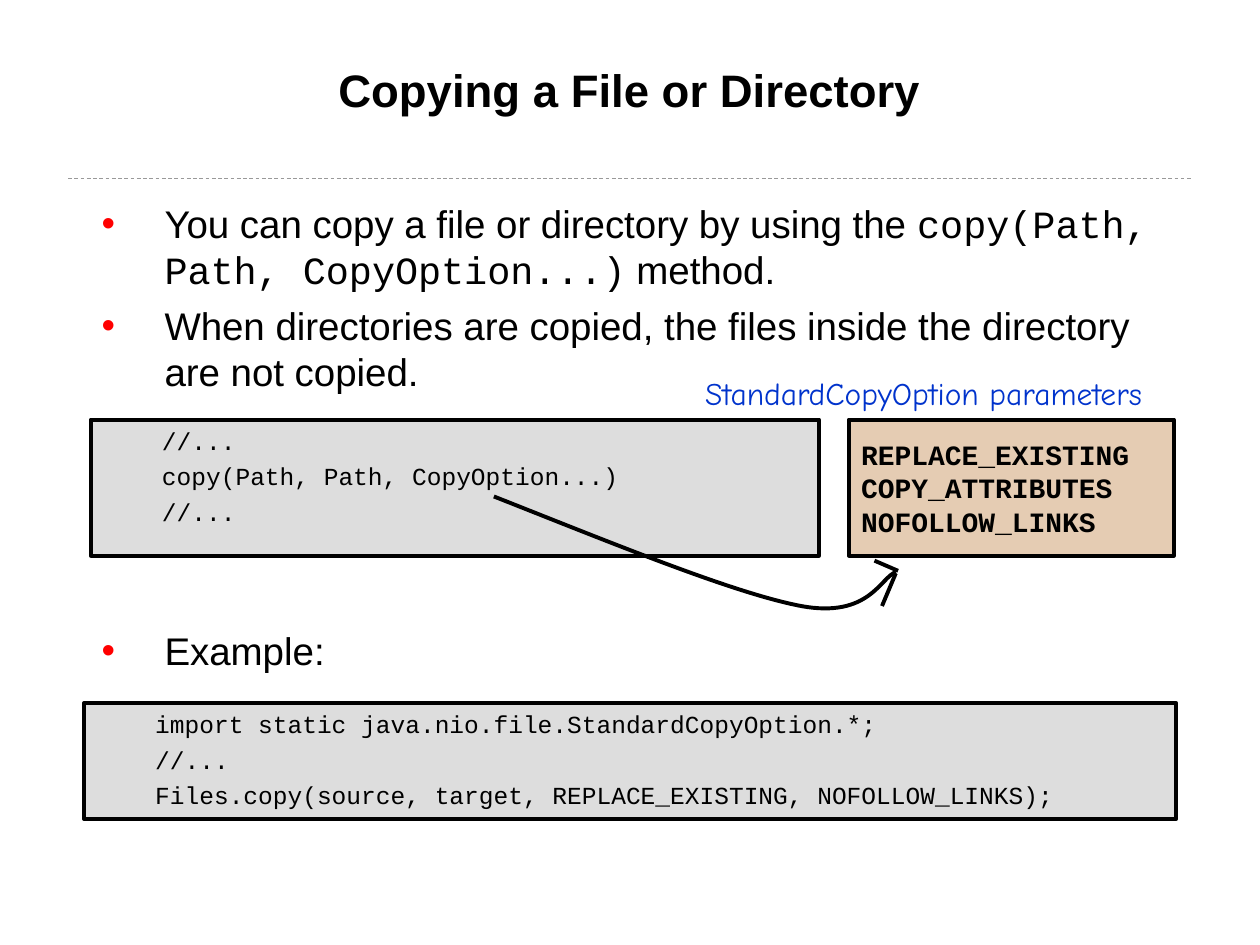
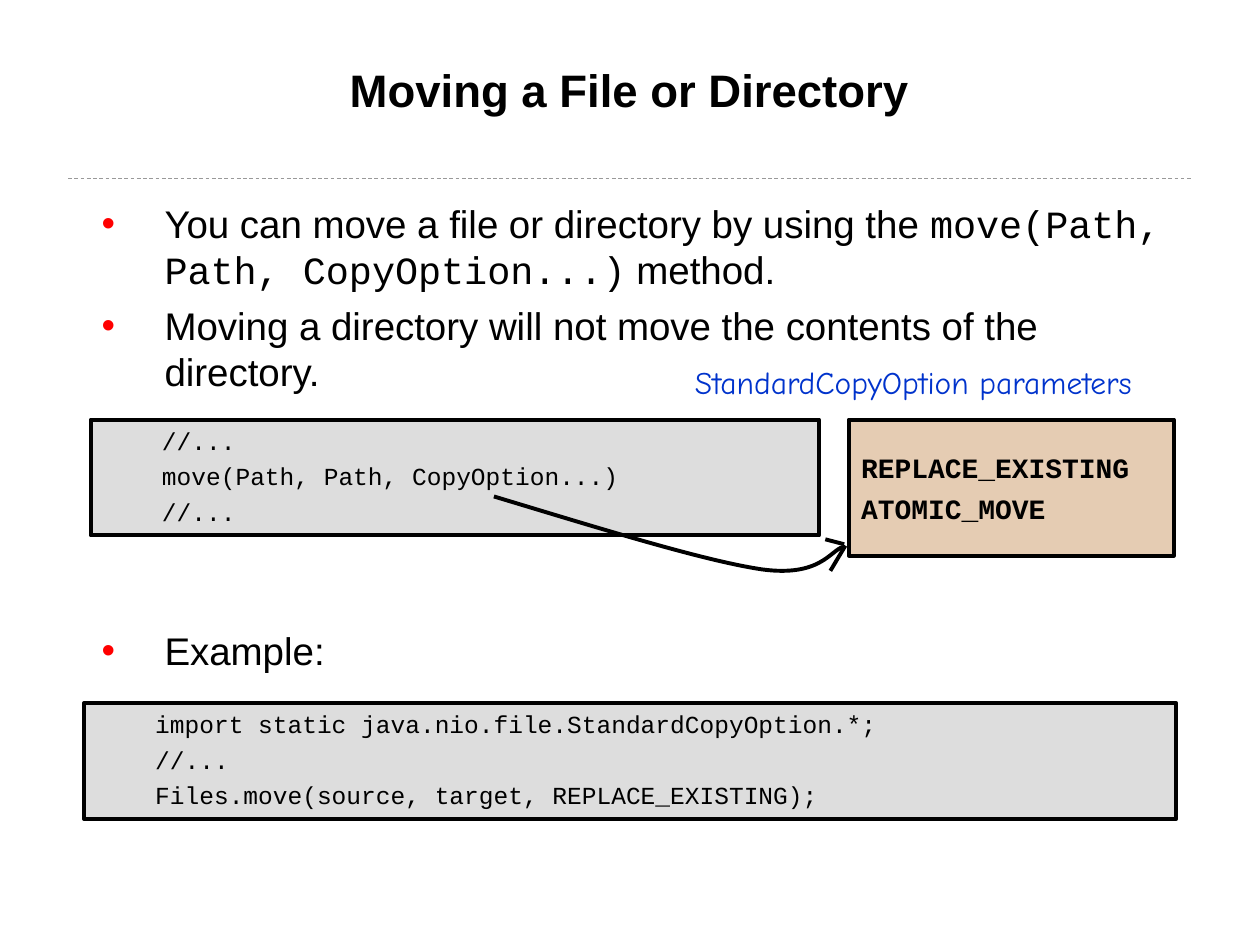
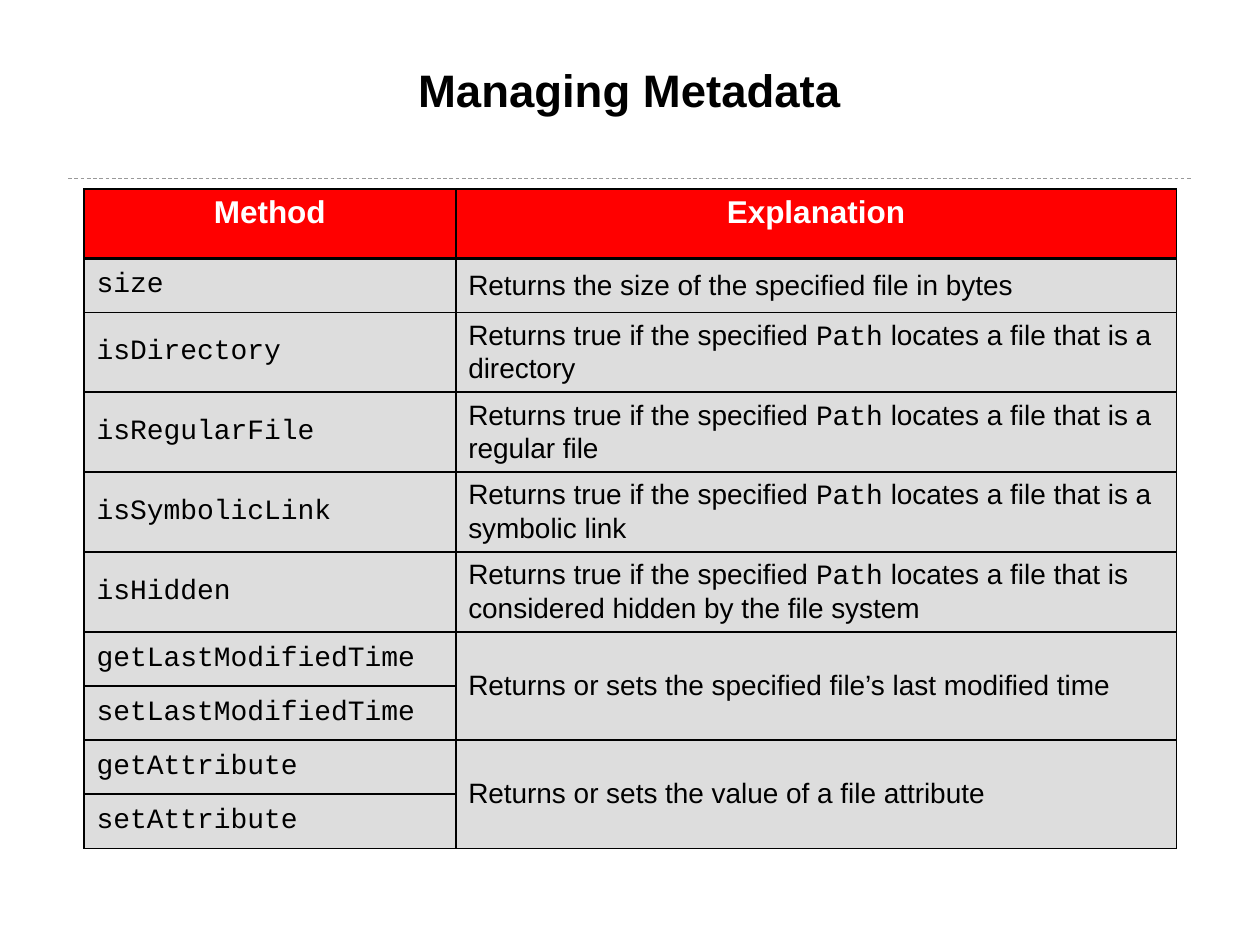
from dataclasses import dataclass, replace
from copy import deepcopy
from typing import NamedTuple

import pptx
import pptx.dml.color
import pptx.enum.dml
import pptx.enum.shapes
import pptx.enum.text
import pptx.oxml.ns
import pptx.util
from lxml import etree

Pt = pptx.util.Pt
qn = pptx.oxml.ns.qn
ALIGN = pptx.enum.text.PP_ALIGN
ANCHOR = pptx.enum.text.MSO_ANCHOR


class Box(NamedTuple):
    left: float
    top: float
    width: float
    height: float


class Point(NamedTuple):
    x: float
    y: float


class Insets(NamedTuple):
    side: float
    end: float


@dataclass(frozen=True)
class TextStyle:
    font: str
    size: float
    color: str = "000000"
    bold: bool = False
    gap: float = 0
    align: ALIGN = ALIGN.LEFT


SANS, MONO = "Arial", "Courier New"


@dataclass(frozen=True)
class Theme:
    black: str = "000000"
    red: str = "FF0000"
    rule: str = "999999"
    code_fill: str = "DDDDDD"
    option_fill: str = "E5CCB3"
    outline: float = 2.25
    grid: float = 1.08
    header_rule: float = 2.21
    title: TextStyle = TextStyle(SANS, 26, bold=True, align=ALIGN.CENTER)
    bullet: TextStyle = TextStyle(SANS, 22, gap=5.5)
    code: TextStyle = TextStyle(MONO, 14, gap=3.5)
    option: TextStyle = TextStyle(MONO, 16, bold=True, gap=4)
    caption: TextStyle = TextStyle("Comic Neue", 18, "0033CC", align=ALIGN.CENTER)
    header: TextStyle = TextStyle(SANS, 18, "FFFFFF", bold=True, align=ALIGN.CENTER)
    method: TextStyle = TextStyle(MONO, 16)
    explanation: TextStyle = TextStyle(SANS, 16)


THEME = Theme()
TITLE_BOX = Box(48, 34.5, 623.5, 69)
BULLET_BOX = Box(48, 113.75, 623.5, 273)
EXAMPLE_BOX = Box(48, 401.76, 624.24, 66.24)
OPTIONS_BOX = Box(485, 239.76, 185.76, 77.76)
TIGHT = Insets(0.72, 0.72)
PADDED = Insets(7.2, 3.6)
EXAMPLE_GAP = 132.7  # leaves room for the syntax panel between the bullets


@dataclass(frozen=True)
class Arrow:
    curve: list[Point]  # start, then three Bézier points per segment
    barbs: list[tuple[Point, Point]]


@dataclass(frozen=True)
class OperationSlide:
    title: str
    bullets: list[str]
    syntax: list[str]
    syntax_height: float
    options: list[str]
    caption_box: Box
    arrow: Arrow
    example: list[str]


class MetadataRow(NamedTuple):
    methods: list[str]
    explanation: str
    height: float


OPERATIONS = [
    OperationSlide(
        title="Copying a File or Directory",
        bullets=[
            "You can copy a file or directory by using the "
            "`copy(Path, Path, CopyOption...)` method.",
            "When directories are copied, the files inside the directory are not copied.",
        ],
        syntax=["//...", "copy(Path, Path, CopyOption...)", "//..."],
        syntax_height=77.76,
        options=["REPLACE_EXISTING\nCOPY_ATTRIBUTES\nNOFOLLOW_LINKS"],
        caption_box=Box(380.16, 210.24, 295.2, 28.8),
        arrow=Arrow(
            [Point(282.24, 283.68), Point(351.4, 311), Point(419.8, 339.1),
             Point(457.9, 346.3), Point(496.8, 353.5), Point(503.3, 329.8),
             Point(511.9, 326.9)],
            [(Point(513.2, 326.2), Point(499.7, 320.4)),
             (Point(511.9, 327.6), Point(504, 346.3))],
        ),
        example=[
            "import static java.nio.file.StandardCopyOption.*;",
            "//...",
            "Files.copy(source, target, REPLACE_EXISTING, NOFOLLOW_LINKS);",
        ],
    ),
    OperationSlide(
        title="Moving a File or Directory",
        bullets=[
            "You can move a file or directory by using the "
            "`move(Path, Path, CopyOption...)` method.",
            "Moving a directory will not move the contents of the directory.",
        ],
        syntax=["//...", "move(Path, Path, CopyOption...)", "//..."],
        syntax_height=66.24,
        options=["REPLACE_EXISTING", "ATOMIC_MOVE"],
        caption_box=Box(374.4, 203.76, 295.2, 28.8),
        arrow=Arrow(
            [Point(282.24, 283.68), Point(342, 301.7), Point(401.8, 320.4),
             Point(435.6, 325.4), Point(468.7, 329.8), Point(474.5, 314.6),
             Point(481.7, 312.5)],
            [(Point(482.4, 311), Point(471.6, 308.2)),
             (Point(483.1, 311.8), Point(474.5, 326.2))],
        ),
        example=[
            "import static java.nio.file.StandardCopyOption.*;",
            "//...",
            "Files.move(source, target, REPLACE_EXISTING);",
        ],
    ),
]

SHORT_ROW, TALL_ROW, HEADER_ROW = 30.96, 45.36, 39.6
METADATA = [
    MetadataRow(["size"], "Returns the size of the specified file in bytes", SHORT_ROW),
    *(
        MetadataRow([method], f"Returns true if the specified `Path` locates a file that is {kind}",
                    TALL_ROW)
        for method, kind in [
            ("isDirectory", "a directory"),
            ("isRegularFile", "a regular file"),
            ("isSymbolicLink", "a symbolic link"),
            ("isHidden", "considered hidden by the file system"),
        ]
    ),
    MetadataRow(["getLastModifiedTime", "setLastModifiedTime"],
                "Returns or sets the specified file’s last modified time", SHORT_ROW),
    MetadataRow(["getAttribute", "setAttribute"],
                "Returns or sets the value of a file attribute", SHORT_ROW),
]


def rgb(color: str) -> pptx.dml.color.RGBColor:
    return pptx.dml.color.RGBColor.from_string(color)


def points(box: Box) -> list[pptx.util.Length]:
    return [Pt(length) for length in box]


def format_run(run, style: TextStyle) -> None:
    run.font.name = style.font
    run.font.size = Pt(style.size)
    run.font.bold = style.bold
    run.font.color.rgb = rgb(style.color)


def write(frame, lines: list[str], style: TextStyle) -> None:
    """Fill a text frame, setting words between backticks in the code font."""
    for index, line in enumerate(lines):
        paragraph = frame.paragraphs[0] if index == 0 else frame.add_paragraph()
        paragraph.alignment = style.align
        if index:
            paragraph.space_before = Pt(style.gap)
        if "`" not in line:
            paragraph.text = line
            for run in paragraph.runs:
                format_run(run, style)
            for line_break in paragraph._p.findall(qn("a:br")):
                line_break.append(deepcopy(paragraph.runs[0]._r.rPr))
            continue
        for position, piece in enumerate(line.split("`")):
            run = paragraph.add_run()
            run.text = piece
            format_run(run, replace(style, font=MONO) if position % 2 else style)


def set_insets(frame, insets: Insets) -> None:
    frame.word_wrap = True
    frame.margin_left = frame.margin_right = Pt(insets.side)
    frame.margin_top = frame.margin_bottom = Pt(insets.end)


def add_text(slide, box: Box, lines: list[str], style: TextStyle, insets: Insets):
    frame = slide.shapes.add_textbox(*points(box)).text_frame
    set_insets(frame, insets)
    write(frame, lines, style)
    return frame


def add_panel(slide, box: Box, fill: str, lines: list[str], style: TextStyle,
              anchor: ANCHOR) -> None:
    panel = slide.shapes.add_shape(pptx.enum.shapes.MSO_SHAPE.RECTANGLE, *points(box))
    panel.shadow.inherit = False
    panel.fill.solid()
    panel.fill.fore_color.rgb = rgb(fill)
    panel.line.color.rgb = rgb(THEME.black)
    panel.line.width = Pt(THEME.outline)
    set_insets(panel.text_frame, PADDED)
    panel.text_frame.vertical_anchor = anchor
    write(panel.text_frame, lines, style)


def add_code(slide, box: Box, lines: list[str]) -> None:
    indented = ["    " + line for line in lines]
    add_panel(slide, box, THEME.code_fill, indented, THEME.code, ANCHOR.TOP)


def add_line(slide, start: Point, end: Point, color: str, width: float):
    connector = slide.shapes.add_connector(
        pptx.enum.shapes.MSO_CONNECTOR.STRAIGHT, *(Pt(v) for v in (*start, *end)))
    connector.line.color.rgb = rgb(color)
    connector.line.width = Pt(width)
    etree.SubElement(connector._element.spPr, qn("a:effectLst"))
    return connector


def add_arrow(slide, arrow: Arrow) -> None:
    start, *rest = arrow.curve
    builder = slide.shapes.build_freeform(Pt(start.x), Pt(start.y))
    builder.add_line_segments([(Pt(p.x), Pt(p.y)) for p in rest], close=False)
    shaft = builder.convert_to_shape()
    segments = list(shaft._element.iter(qn("a:lnTo")))
    for first in range(0, len(segments), 3):
        bezier = etree.Element(qn("a:cubicBezTo"))
        segments[first].addprevious(bezier)
        for segment in segments[first:first + 3]:
            bezier.append(segment[0])
            segment.getparent().remove(segment)
    shaft.shadow.inherit = False
    shaft.fill.background()
    shaft.line.color.rgb = rgb(THEME.black)
    shaft.line.width = Pt(THEME.outline)
    for tip, tail in arrow.barbs:
        add_line(slide, tip, tail, THEME.black, THEME.outline)


def add_titled_slide(deck, title: str):
    slide = deck.slides.add_slide(deck.slide_layouts[6])
    divider = add_line(slide, Point(39, 102), Point(681, 102), THEME.rule, 0.5)
    divider.line.dash_style = pptx.enum.dml.MSO_LINE.DASH
    add_text(slide, TITLE_BOX, [title], THEME.title, TIGHT)
    return slide


def add_bullets(slide, lines: list[str]) -> None:
    frame = add_text(slide, BULLET_BOX, lines, THEME.bullet, TIGHT)
    for paragraph in frame.paragraphs:
        properties = paragraph._p.get_or_add_pPr()
        properties.set("marL", str(Pt(45.36)))
        properties.set("indent", str(Pt(-36)))
        color = etree.SubElement(properties, qn("a:buClr"))
        etree.SubElement(color, qn("a:srgbClr"), val=THEME.red)
        etree.SubElement(properties, qn("a:buFont"), typeface=SANS)
        etree.SubElement(properties, qn("a:buChar"), char="•")
    frame.paragraphs[-1].space_before = Pt(EXAMPLE_GAP)


def add_operation_slide(deck, operation: OperationSlide) -> None:
    slide = add_titled_slide(deck, operation.title)
    add_bullets(slide, [*operation.bullets, "Example:"])
    add_code(slide, Box(51.84, OPTIONS_BOX.top, 416.16, operation.syntax_height),
             operation.syntax)
    add_panel(slide, OPTIONS_BOX, THEME.option_fill, operation.options, THEME.option,
              ANCHOR.MIDDLE)
    add_arrow(slide, operation.arrow)
    add_text(slide, operation.caption_box, ["StandardCopyOption parameters"],
             THEME.caption, PADDED)
    add_code(slide, EXAMPLE_BOX, operation.example)


def fill_cell(cell, text: str, style: TextStyle, fill: str, anchor: ANCHOR,
              top_rule: float, bottom_rule: float) -> None:
    properties = cell._tc.get_or_add_tcPr()
    rules = {"L": THEME.grid, "R": THEME.grid, "T": top_rule, "B": bottom_rule}
    for side, width in rules.items():
        border = etree.SubElement(properties, qn(f"a:ln{side}"), w=str(Pt(width)))
        solid = etree.SubElement(border, qn("a:solidFill"))
        etree.SubElement(solid, qn("a:srgbClr"), val=THEME.black)
    cell.fill.solid()
    cell.fill.fore_color.rgb = rgb(fill)
    cell.vertical_anchor = anchor
    cell.margin_left = cell.margin_right = Pt(PADDED.side)
    cell.margin_top = cell.margin_bottom = Pt(PADDED.end)
    if text:
        write(cell.text_frame, [text], style)


def add_metadata_slide(deck) -> None:
    slide = add_titled_slide(deck, "Managing Metadata")
    heights = [HEADER_ROW] + [row.height for row in METADATA for _ in row.methods]
    table = slide.shapes.add_table(
        len(heights), 2, *points(Box(48, 108, 624.24, sum(heights)))).table
    table.first_row = table.horz_banding = False
    for column, width in zip(table.columns, (212.4, 411.84)):
        column.width = Pt(width)
    for row, height in zip(table.rows, heights):
        row.height = Pt(height)

    for column, heading in enumerate(("Method", "Explanation")):
        fill_cell(table.cell(0, column), heading, THEME.header, THEME.red, ANCHOR.TOP,
                  THEME.grid, THEME.header_rule)
    line = 1
    for entry in METADATA:
        last = line + len(entry.methods) - 1
        for offset, method in enumerate(entry.methods):
            top_rule = THEME.header_rule if line + offset == 1 else THEME.grid
            explanation = "" if offset else entry.explanation
            for column, (text, style) in enumerate(
                    [(method, THEME.method), (explanation, THEME.explanation)]):
                fill_cell(table.cell(line + offset, column), text, style, THEME.code_fill,
                          ANCHOR.MIDDLE, top_rule, THEME.grid)
        if last > line:
            table.cell(line, 1).merge(table.cell(last, 1))
        line = last + 1


def main() -> None:
    deck = pptx.Presentation()
    deck.slide_width, deck.slide_height = Pt(720), Pt(540)
    for operation in OPERATIONS:
        add_operation_slide(deck, operation)
    add_metadata_slide(deck)
    deck.save("out.pptx")


if __name__ == "__main__":
    main()
